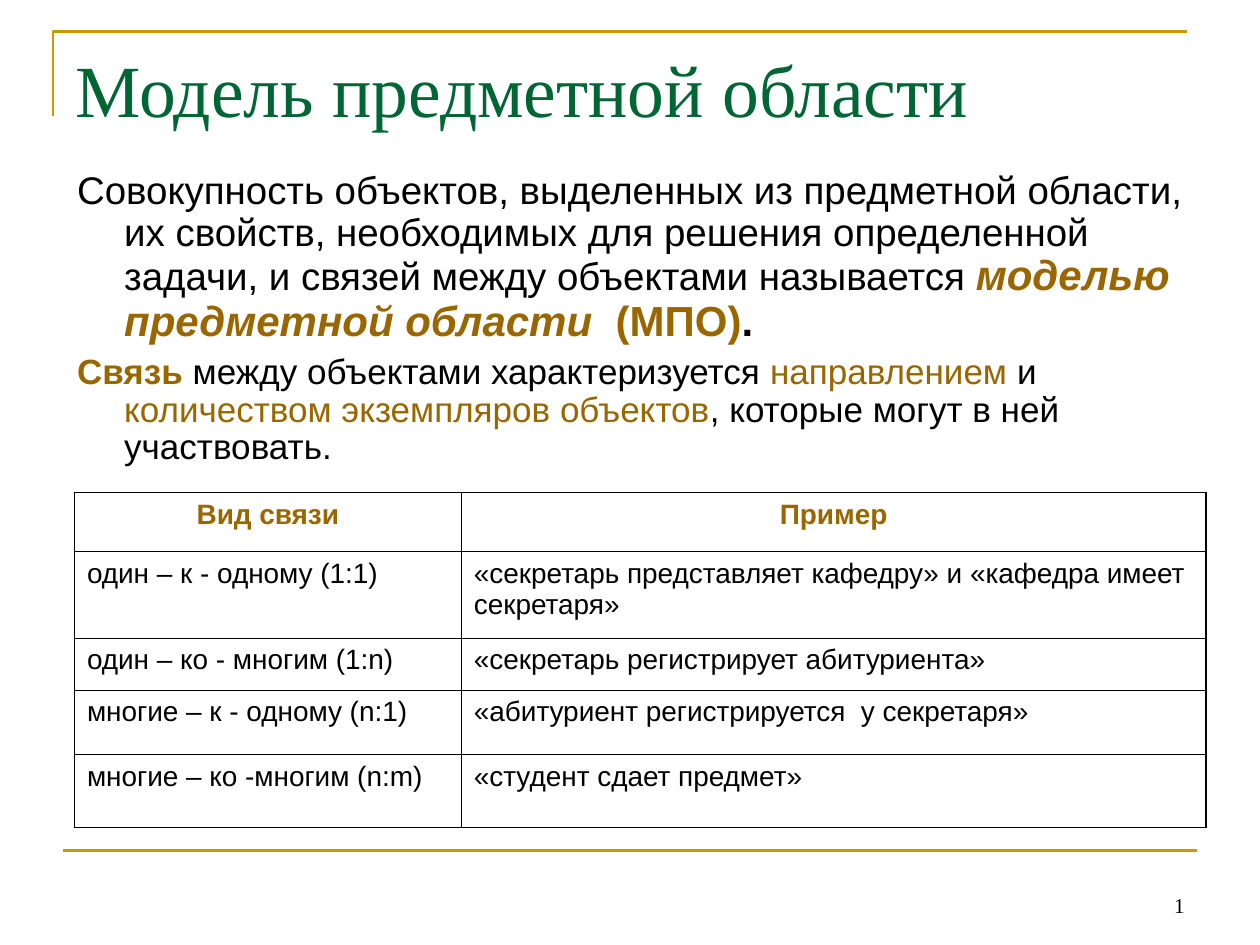
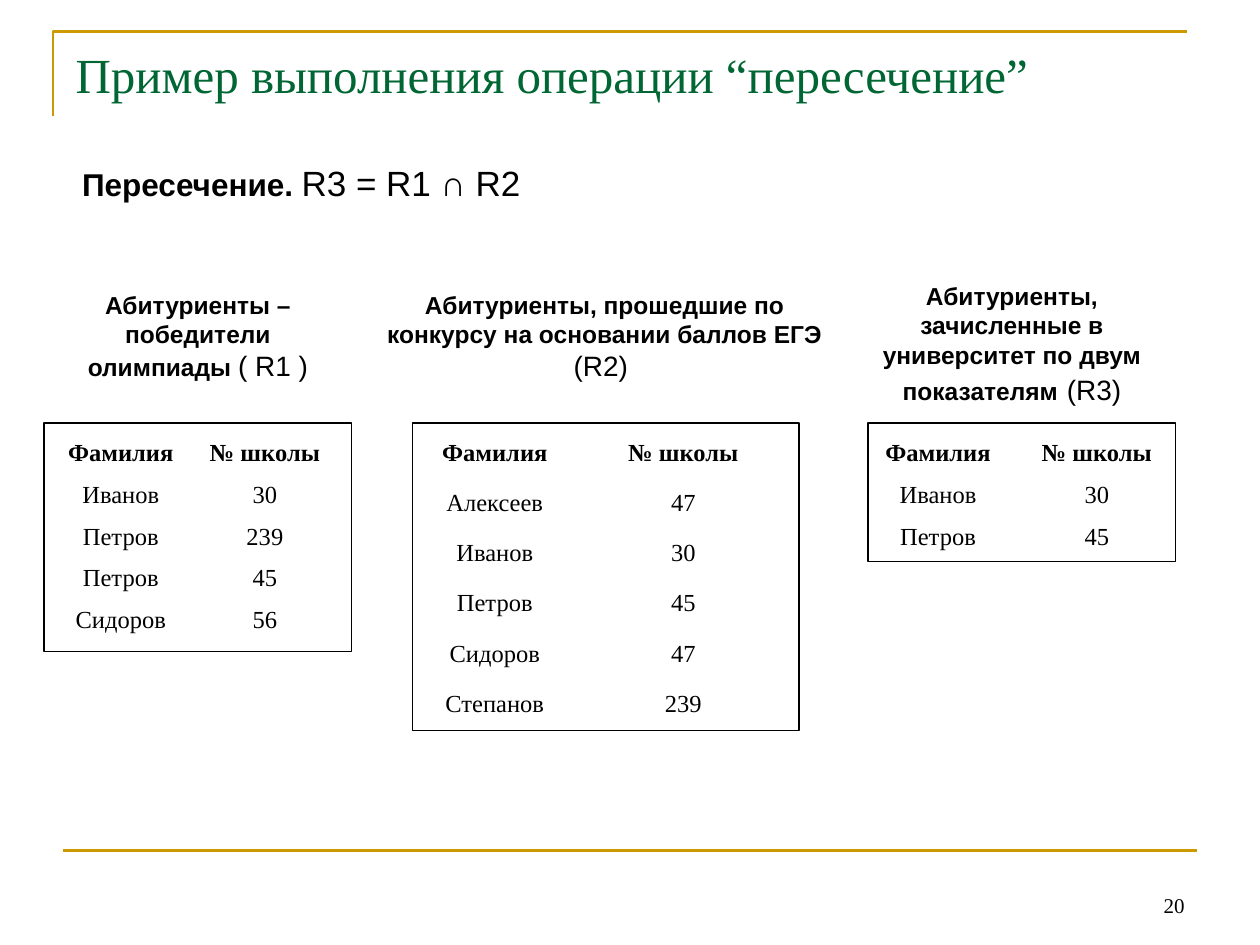
from lxml.etree import SubElement
from pptx import Presentation
from pptx.dml.color import RGBColor
from pptx.enum.shapes import MSO_CONNECTOR, MSO_SHAPE
from pptx.enum.text import MSO_ANCHOR, MSO_AUTO_SIZE, PP_ALIGN
from pptx.oxml.ns import qn
from pptx.util import Cm, Pt

GOLD = RGBColor(0xCC, 0x99, 0x00)
GREEN = RGBColor(0x00, 0x66, 0x33)
BROWN = RGBColor(0x99, 0x66, 0x00)
BLACK = RGBColor(0x00, 0x00, 0x00)
SANS, SERIF = "Arial", "Times New Roman"
THIN, THICK = Pt(0.45), Pt(1.08)


def fmt(size, color=BLACK, name=SANS, bold=False, italic=False):
    return {"size": Pt(size), "rgb": color, "name": name,
            "bold": bold, "italic": italic}


HEAD = fmt(16, BROWN, bold=True)
CELL = fmt(16)
NAME = fmt(14, name=SERIF, bold=True)
DATA = fmt(14, name=SERIF)
LABEL = fmt(14, bold=True)


def write(para, runs, align=PP_ALIGN.LEFT):
    """Add runs, each a pair of text and format, to a paragraph."""
    para.alignment = align
    for text, look in runs:
        run = para.add_run()
        run.text = text
        for key, val in look.items():
            owner = run.font.color if key == "rgb" else run.font
            setattr(owner, key, val)


def place(shape, box):
    for key, val in zip(("left", "top", "width", "height"), box):
        setattr(shape, key, Cm(val))


def setup(frame, anchor=MSO_ANCHOR.TOP):
    frame.word_wrap = True
    frame.auto_size = MSO_AUTO_SIZE.NONE
    frame.vertical_anchor = anchor


def add_title(slide, text, size, width):
    title = slide.shapes.title
    place(title, (1.27, 0.76, width, 3.18))
    setup(title.text_frame)
    write(title.text_frame.paragraphs[0], [(text, fmt(size, GREEN, SERIF))])


def add_body(slide, box, paras, indent, spacing=1.0):
    """Fill the body with paragraphs that have a hanging indent."""
    body = slide.placeholders[1]
    place(body, box)
    frame = body.text_frame
    setup(frame)
    for num, runs in enumerate(paras):
        para = frame.add_paragraph() if num else frame.paragraphs[0]
        props = para._p.get_or_add_pPr()
        props.set("marL", str(Cm(indent)))
        props.set("indent", str(-Cm(indent)))
        SubElement(props, qn("a:buNone"))
        para.line_spacing = spacing
        para.space_before = Pt(5 if num else 0)
        write(para, runs)


def add_text(slide, box, runs, align, anchor=MSO_ANCHOR.TOP):
    shape = slide.shapes.add_textbox(*map(Cm, box))
    setup(shape.text_frame, anchor)
    write(shape.text_frame.paragraphs[0], runs, align)


def add_edges(cell, widths):
    props = cell._tc.get_or_add_tcPr()
    for side, width in zip("LRTB", widths):
        line = SubElement(props, qn("a:ln" + side), w=str(width))
        fill = SubElement(line, qn("a:solidFill"))
        SubElement(fill, qn("a:srgbClr"), val=str(BLACK))


def add_grid(slide, spot, cols, heights, rows, looks, aligns, edged=False):
    """Add a table; looks and aligns hold values for the head and the rest."""
    size = sum(cols), sum(heights)
    table = slide.shapes.add_table(len(rows), len(cols),
                                   *map(Cm, spot + size)).table
    table.first_row = table.horz_banding = False
    for col, width in zip(table.columns, cols):
        col.width = Cm(width)
    for row, height in zip(table.rows, heights):
        row.height = Cm(height)
    last, end = len(rows) - 1, len(cols) - 1
    for y, row in enumerate(rows):
        for x, text in enumerate(row):
            cell = table.cell(y, x)
            if edged:
                outer = (x == 0, x == end, y == 0, y == last)
                add_edges(cell, [THICK if out else THIN for out in outer])
            cell.fill.background()
            part = min(y, 1)
            write(cell.text_frame.paragraphs[0], [(text, looks[part])],
                  aligns[part])


def add_set(slide, spot, cols, heights, names, frame, label, runs):
    """Add one relation: its label, its table and the frame around it."""
    add_text(slide, label, runs, PP_ALIGN.CENTER)
    rows = [("Фамилия", "№ школы")] + names
    add_grid(slide, spot, cols, heights, rows, (NAME, DATA),
             (PP_ALIGN.CENTER, PP_ALIGN.CENTER))
    rect = slide.shapes.add_shape(MSO_SHAPE.RECTANGLE, *map(Cm, frame))
    rect.shadow.inherit = False
    rect.fill.background()
    rect.line.color.rgb = BLACK
    rect.line.width = Pt(0.75)


def add_lines(slide):
    """Draw the gold lines and move them to the layout the slides share."""
    pen = slide.shapes.build_freeform(Cm(1.07), Cm(2.34))
    pen.add_line_segments([(Cm(1.07), Cm(0.64)), (Cm(23.93), Cm(0.64))],
                          close=False)
    corner = pen.convert_to_shape()
    corner.fill.background()
    corner.shadow.inherit = False
    rule = slide.shapes.add_connector(MSO_CONNECTOR.STRAIGHT, Cm(1.27),
                                      Cm(17.15), Cm(24.13), Cm(17.15))
    SubElement(rule.element.spPr, qn("a:effectLst"))
    for shape in (corner, rule):
        shape.line.color.rgb = GOLD
        shape.line.width = Pt(1.5)
        slide.slide_layout.shapes.element.append(shape.element)


def add_page(deck, title, size, width, number):
    slide = deck.slides.add_slide(deck.slide_layouts[1])
    add_title(slide, title, size, width)
    add_text(slide, (18.21, 17.35, 5.92, 1.27),
             [(number, fmt(12, name=SERIF))], PP_ALIGN.RIGHT,
             MSO_ANCHOR.BOTTOM)
    return slide


def add_model(deck):
    slide = add_page(deck, "Модель предметной области", 42, 22.86, "1")
    add_lines(slide)
    plain, warm = fmt(20), fmt(20, BROWN)
    add_body(slide, (1.3, 3.33, 23.01, 6.4), [
        [("Совокупность объектов, выделенных из предметной области, их "
          "свойств, необходимых для решения определенной задачи, и связей "
          "между объектами называется ", fmt(22)),
         ("моделью предметной области ", fmt(24, BROWN, bold=True, italic=True)),
         (" (МПО)", fmt(24, BROWN, bold=True)),
         (".", fmt(24, bold=True))],
        [("Связь ", fmt(20, BROWN, bold=True)),
         ("между объектами характеризуется ", plain),
         ("направлением", warm), (" и ", plain),
         ("количеством экземпляров объектов", warm),
         (", которые могут в ней участвовать.", plain)],
    ], 0.95, 0.9)
    add_grid(slide, (1.5, 9.93), (7.8, 15.01), (1.19, 1.75, 1.04, 1.3, 1.47), [
        ("Вид связи", "Пример"),
        ("один – к - одному (1:1)",
         "«секретарь представляет кафедру» и «кафедра имеет секретаря»"),
        ("один – ко - многим (1:n)", "«секретарь регистрирует абитуриента»"),
        ("многие – к - одному (n:1)",
         "«абитуриент регистрируется  у секретаря»"),
        ("многие – ко -многим (n:m)", "«студент сдает предмет»"),
    ], (HEAD, CELL), (PP_ALIGN.CENTER, PP_ALIGN.LEFT), edged=True)


def add_meet(deck):
    slide = add_page(deck, "Пример выполнения операции “пересечение”",
                     28, 23.72, "20")
    add_body(slide, (1.4, 3.12, 22.73, 1.96), [
        [("Пересечение.", fmt(18, bold=True)), (" ", fmt(17)),
         ("R3 = R1 ∩ R2", fmt(20))]], 1.6)
    add_set(slide, (1.09, 8.74), (2.69, 3.12), [0.84] * 5,
            [("Иванов", "30"), ("Петров", "239"), ("Петров", "45"),
             ("Сидоров", "56")],
            (0.89, 8.53, 6.2, 4.6), (1.3, 5.72, 5.38, 2.13),
            [("Абитуриенты – победители олимпиады ", LABEL),
             ("( R1 )", CELL)])
    add_set(slide, (8.31, 8.74), (3.33, 4.27), [1.01] * 6,
            [("Алексеев", "47"), ("Иванов", "30"), ("Петров", "45"),
             ("Сидоров", "47"), ("Степанов", "239")],
            (8.31, 8.53, 7.8, 6.2), (7.49, 5.72, 9.4, 2.13),
            [("Абитуриенты, прошедшие по конкурсу на основании баллов ЕГЭ ",
              LABEL), ("(R2) ", CELL)])
    add_set(slide, (17.5, 8.74), (2.82, 3.58), (0.84, 0.84, 1.04),
            [("Иванов", "30"), ("Петров", "45")],
            (17.5, 8.53, 6.2, 2.79), (17.3, 5.54, 6.2, 2.79),
            [("Абитуриенты, зачисленные в университет по двум показателям",
              LABEL), (" ", fmt(18)), ("(R3)", CELL)])


def main():
    deck = Presentation()
    deck.slide_width, deck.slide_height = Cm(25.4), Cm(19.05)
    add_model(deck)
    add_meet(deck)
    deck.save("out.pptx")


if __name__ == "__main__":
    main()
